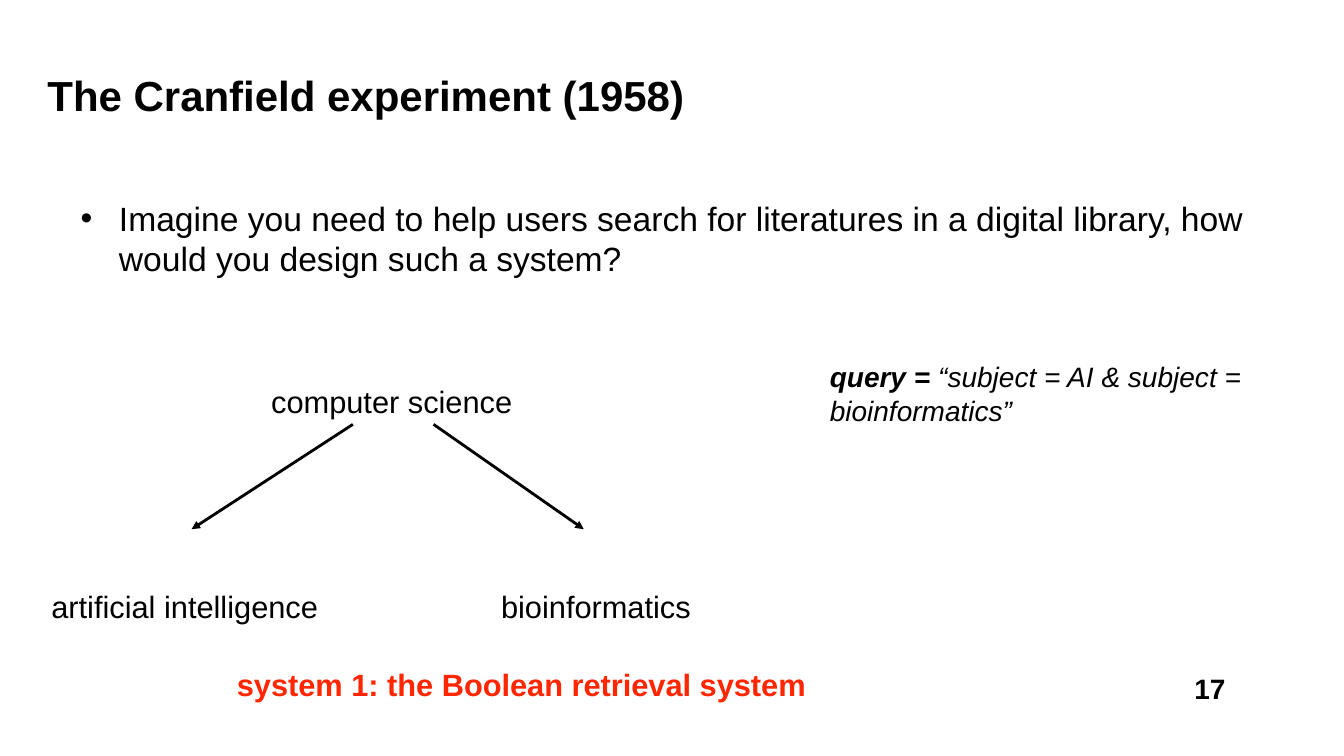
from lxml.etree import SubElement
from pptx import Presentation
from pptx.dml.color import RGBColor
from pptx.enum.shapes import MSO_CONNECTOR
from pptx.enum.text import MSO_ANCHOR, MSO_AUTO_SIZE, PP_ALIGN
from pptx.oxml.ns import qn
from pptx.util import Emu, Pt

BLACK = RGBColor(0x00, 0x00, 0x00)
RED = RGBColor(0xFF, 0x26, 0x00)
WHITE = RGBColor(0xFF, 0xFF, 0xFF)
EMU_PER_PX = 9144


def px(length):
    return Emu(length * EMU_PER_PX)


class SlideBuilder:
    font_name = "Arial"

    def __init__(self, slide):
        self.slide = slide
        slide.background.fill.solid()
        slide.background.fill.fore_color.rgb = WHITE

    def place(self, shape, box):
        shape.left, shape.top, shape.width, shape.height = map(px, box)

    def frame(self, shape, wrap=True, inset=5, anchor=MSO_ANCHOR.TOP,
              auto_size=MSO_AUTO_SIZE.NONE):
        frame = shape.text_frame
        frame.word_wrap = wrap
        frame.auto_size = auto_size
        frame.vertical_anchor = anchor
        frame.margin_left = frame.margin_right = px(inset)
        frame.margin_top = frame.margin_bottom = px(inset)
        return frame.paragraphs[0]

    def run(self, paragraph, text, size, color=BLACK, bold=False, italic=False):
        run = paragraph.add_run()
        run.text = text
        font = run.font
        font.name = self.font_name
        font.size = Pt(size)
        font.bold = bold
        font.italic = italic
        font.color.rgb = color

    def title(self, box, text):
        title = self.slide.shapes.title
        self.place(title, box)
        paragraph = self.frame(title, anchor=MSO_ANCHOR.MIDDLE)
        paragraph.alignment = PP_ALIGN.LEFT
        self.run(paragraph, text, 30, bold=True)

    def bullet(self, box, text):
        body = self.slide.placeholders[1]
        self.place(body, box)
        paragraph = self.frame(body)
        properties = paragraph._p.get_or_add_pPr()
        properties.set("marL", str(px(38)))
        properties.set("indent", str(px(-38)))
        SubElement(properties, qn("a:buFont")).set("typeface", self.font_name)
        SubElement(properties, qn("a:buChar")).set("char", "•")
        paragraph.space_before = Pt(0)
        self.run(paragraph, text, 24)

    def text(self, box, runs, size, wrap=False, inset=5, align=PP_ALIGN.LEFT,
             line_spacing=None):
        text_box = self.slide.shapes.add_textbox(*map(px, box))
        paragraph = self.frame(text_box, wrap, inset,
                               auto_size=MSO_AUTO_SIZE.SHAPE_TO_FIT_TEXT)
        paragraph.alignment = align
        paragraph.line_spacing = line_spacing
        for text, style in runs:
            self.run(paragraph, text, size, **style)

    def label(self, left, top, width, text, **style):
        self.text((left, top, width, 45), [(text, style)], 22,
                  line_spacing=Pt(40))

    def arrow(self, start, end):
        arrow = self.slide.shapes.add_connector(
            MSO_CONNECTOR.STRAIGHT, *map(px, start + end))
        arrow.line.color.rgb = BLACK
        arrow.line.width = Pt(2)
        SubElement(arrow.line._get_or_add_ln(), qn("a:tailEnd")).set("type", "triangle")
        SubElement(arrow._element.spPr, qn("a:effectLst"))


def main():
    presentation = Presentation()
    presentation.slide_width = px(1333)
    presentation.slide_height = px(750)
    builder = SlideBuilder(
        presentation.slides.add_slide(presentation.slide_layouts[1]))

    builder.title((42, 58, 1154, 72), "The Cranfield experiment (1958)")
    builder.text((1180, 662, 40, 39), [("17", {"bold": True})], 20,
                 inset=4, align=PP_ALIGN.CENTER)
    builder.bullet((75, 191, 1223, 461),
                   "Imagine you need to help users search for literatures in a "
                   "digital library, how would you design such a system?")

    builder.label(264, 356, 251, "computer science")
    subfields = [
        (46, 276, "artificial intelligence", 350, 190),
        (492, 200, "bioinformatics", 430, 579),
    ]
    for left, width, subfield, start_x, end_x in subfields:
        builder.arrow((start_x, 421), (end_x, 525))
        builder.label(left, 559, width, subfield)

    builder.text((818, 352, 468, 73), [
        ("query = ", {"bold": True, "italic": True}),
        ("“subject = AI & subject = bioinformatics”", {"italic": True}),
    ], 20, wrap=True)
    builder.label(230, 637, 577, "system 1: the Boolean retrieval system",
                  color=RED, bold=True)

    presentation.save("out.pptx")


if __name__ == "__main__":
    main()
